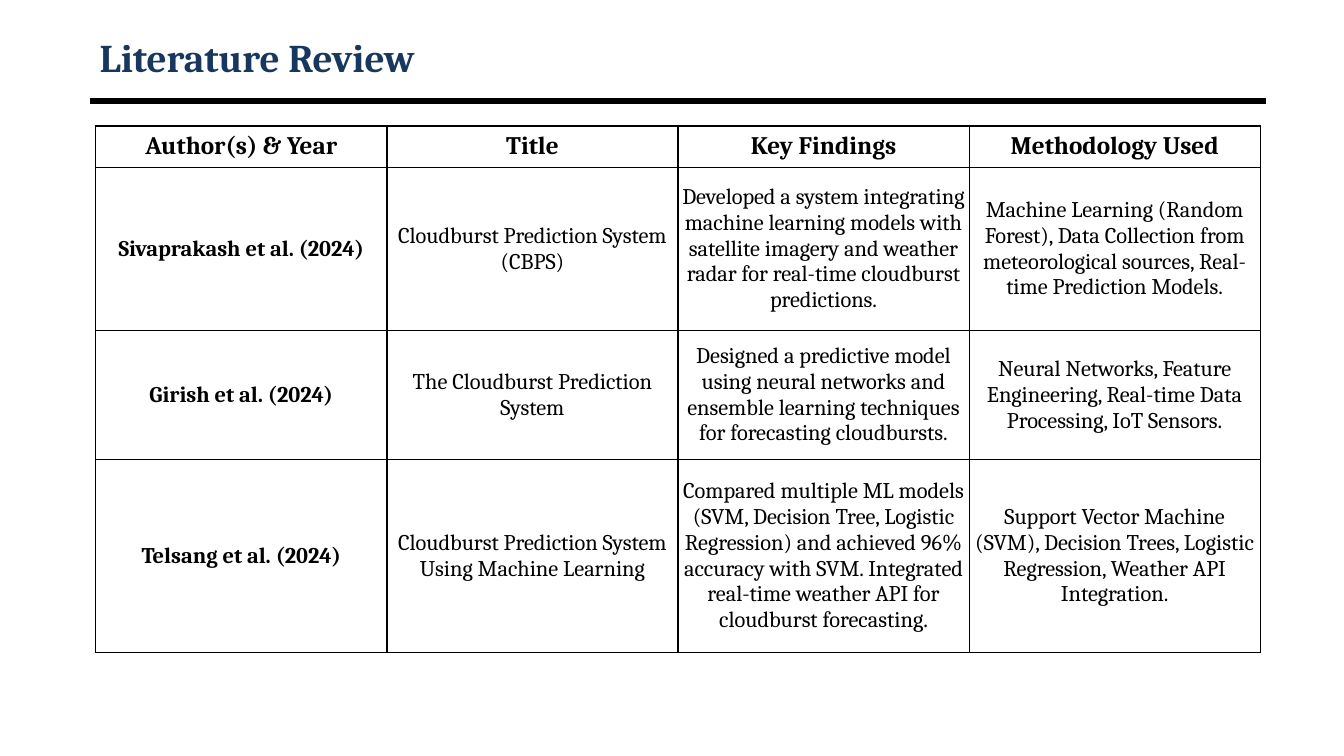
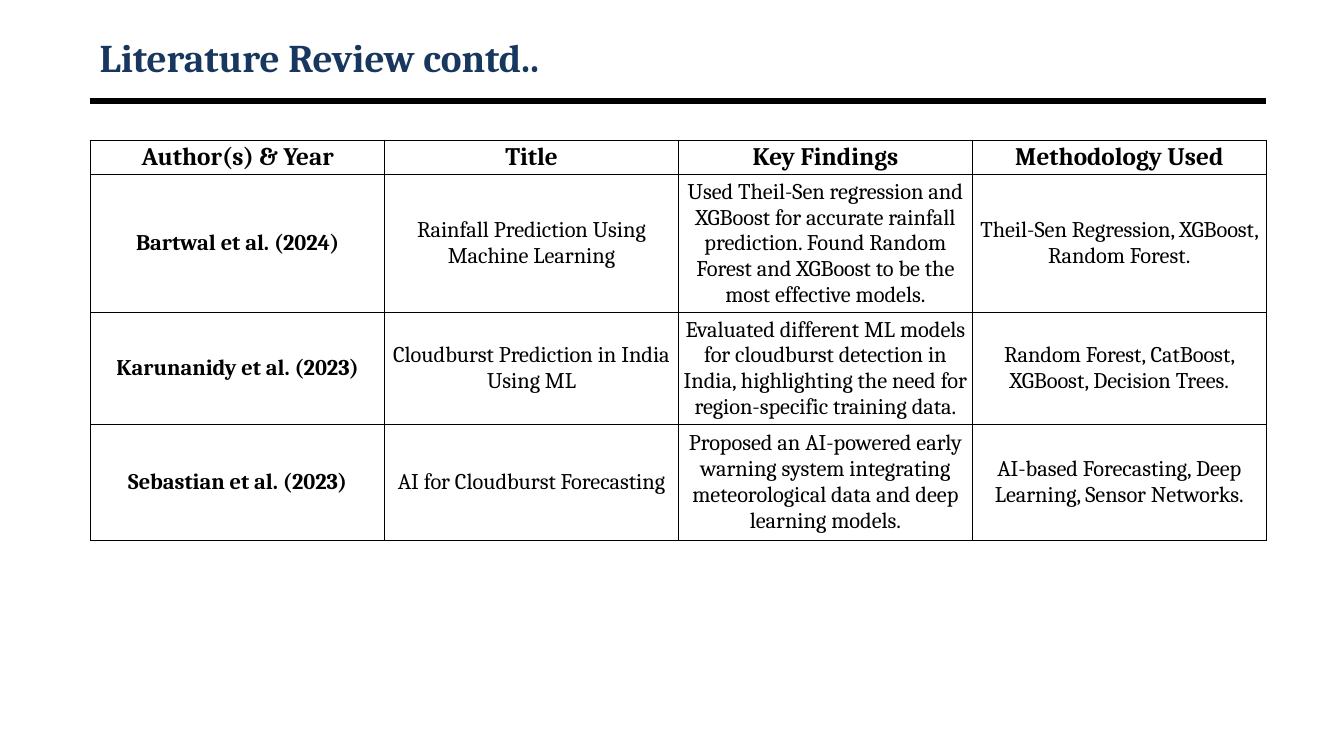
from pptx import Presentation
from pptx.dml.color import RGBColor
from pptx.enum.shapes import MSO_CONNECTOR
from pptx.enum.text import MSO_ANCHOR as Anchor, PP_ALIGN as Align
from pptx.oxml import parse_xml
from pptx.oxml.ns import nsdecls
from pptx.util import Inches, Pt

NAVY = RGBColor(0x17, 0x37, 0x5E)
BLACK = RGBColor(0, 0, 0)
FACE = "Cambria"

# Content
HEAD = ("Author(s) & Year", "Title", "Key Findings", "Methodology Used")
PAGES = [
    {
        "title": "Literature Review",
        "left": 0.95, "top": 1.25, "width": 11.55,
        "heights": (0.41, 1.62, 1.28, 1.91),
        "rows": [
            ("Sivaprakash et al. (2024)",
             "Cloudburst Prediction System (CBPS)",
             "Developed a system integrating machine learning models with "
             "satellite imagery and weather radar for real-time cloudburst "
             "predictions.",
             "Machine Learning (Random Forest), Data Collection from "
             "meteorological sources, Real-time Prediction Models."),
            ("Girish et al. (2024)",
             "The Cloudburst Prediction System",
             "Designed a predictive model using neural networks and ensemble "
             "learning techniques for forecasting cloudbursts.",
             "Neural Networks, Feature Engineering, Real-time Data "
             "Processing, IoT Sensors."),
            ("Telsang et al. (2024)",
             "Cloudburst Prediction System Using Machine Learning",
             "Compared multiple ML models (SVM, Decision Tree, Logistic "
             "Regression) and achieved 96% accuracy with SVM. Integrated "
             "real-time weather API for cloudburst forecasting.",
             "Support Vector Machine (SVM), Decision Trees, Logistic "
             "Regression, Weather API Integration."),
        ],
    },
    {
        "title": "Literature Review contd..",
        "left": 0.9, "top": 1.39, "width": 11.66,
        "heights": (0.33, 1.31, 1.06, 1.15),
        "rows": [
            ("Bartwal et al. (2024)",
             "Rainfall Prediction Using Machine Learning",
             "Used Theil-Sen regression and XGBoost for accurate rainfall "
             "prediction. Found Random Forest and XGBoost to be the most "
             "effective models.",
             "Theil-Sen Regression, XGBoost, Random Forest."),
            ("Karunanidy et al. (2023)",
             "Cloudburst Prediction in India Using ML",
             "Evaluated different ML models for cloudburst detection in "
             "India, highlighting the need for region-specific training data.",
             "Random Forest, CatBoost, XGBoost, Decision Trees."),
            ("Sebastian et al. (2023)",
             "AI for Cloudburst Forecasting",
             "Proposed an AI-powered early warning system integrating "
             "meteorological data and deep learning models.",
             "AI-based Forecasting, Deep Learning, Sensor Networks."),
        ],
    },
]

# Shared formats
WIDE, HIGH = Inches(13.33), Inches(7.5)
EDGE, SPAN, RULE = Inches(0.89), Inches(11.67), Inches(1)
TITLE = {"size": Pt(28), "bold": True, "name": FACE}
TOP = {"size": Pt(18), "bold": True, "name": FACE}
NAME = {**TOP, "size": Pt(16)}
BODY = {**NAME, "bold": False}
CELL = {
    "vertical_anchor": Anchor.MIDDLE,
    "margin_left": Inches(0.04), "margin_right": Inches(0.04),
    "margin_top": Inches(0.02), "margin_bottom": Inches(0.02),
}


def put(item, values):
    for key, value in values.items():
        setattr(item, key, value)


def write(frame, text, font, color, align):
    para = frame.paragraphs[0]
    para.alignment = align
    run = para.add_run()
    run.text = text
    put(run.font, font)
    run.font.color.rgb = color


def add_head(slide, text):
    # Rule under the title
    line = slide.shapes.add_connector(
        MSO_CONNECTOR.STRAIGHT, EDGE, RULE, EDGE + SPAN, RULE)
    line.line.width = Pt(4.5)
    line.line.color.rgb = BLACK
    line._element.spPr.append(parse_xml(f"<a:effectLst {nsdecls('a')}/>"))
    # Title
    box = slide.shapes.add_textbox(EDGE, Inches(0.3), SPAN, Inches(0.53))
    put(box.text_frame, {"word_wrap": True, "vertical_anchor": Anchor.MIDDLE})
    write(box.text_frame, text, TITLE, NAVY, Align.LEFT)


def frame_cell(cell):
    props = cell._tc.get_or_add_tcPr()
    for side in "LRTB":
        props.append(parse_xml(
            f'<a:ln{side} {nsdecls("a")} w="{Pt(1)}"><a:solidFill>'
            f'<a:srgbClr val="{BLACK}"/></a:solidFill></a:ln{side}>'))
    cell.fill.background()


def add_grid(slide, page):
    rows = [HEAD, *page["rows"]]
    place = [Inches(n) for n in (page["left"], page["top"], page["width"],
                                 sum(page["heights"]))]
    grid = slide.shapes.add_table(len(rows), len(HEAD), *place).table
    for row, high in zip(grid.rows, page["heights"]):
        row.height = Inches(high)
    for r, texts in enumerate(rows):
        for c, text in enumerate(texts):
            cell = grid.cell(r, c)
            font = TOP if r == 0 else NAME if c == 0 else BODY
            put(cell, CELL)
            frame_cell(cell)
            write(cell.text_frame, text, font, BLACK, Align.CENTER)


def main():
    deck = Presentation()
    put(deck, {"slide_width": WIDE, "slide_height": HIGH})
    for page in PAGES:
        slide = deck.slides.add_slide(deck.slide_layouts[6])
        add_head(slide, page["title"])
        add_grid(slide, page)
    deck.save("out.pptx")


if __name__ == "__main__":
    main()
